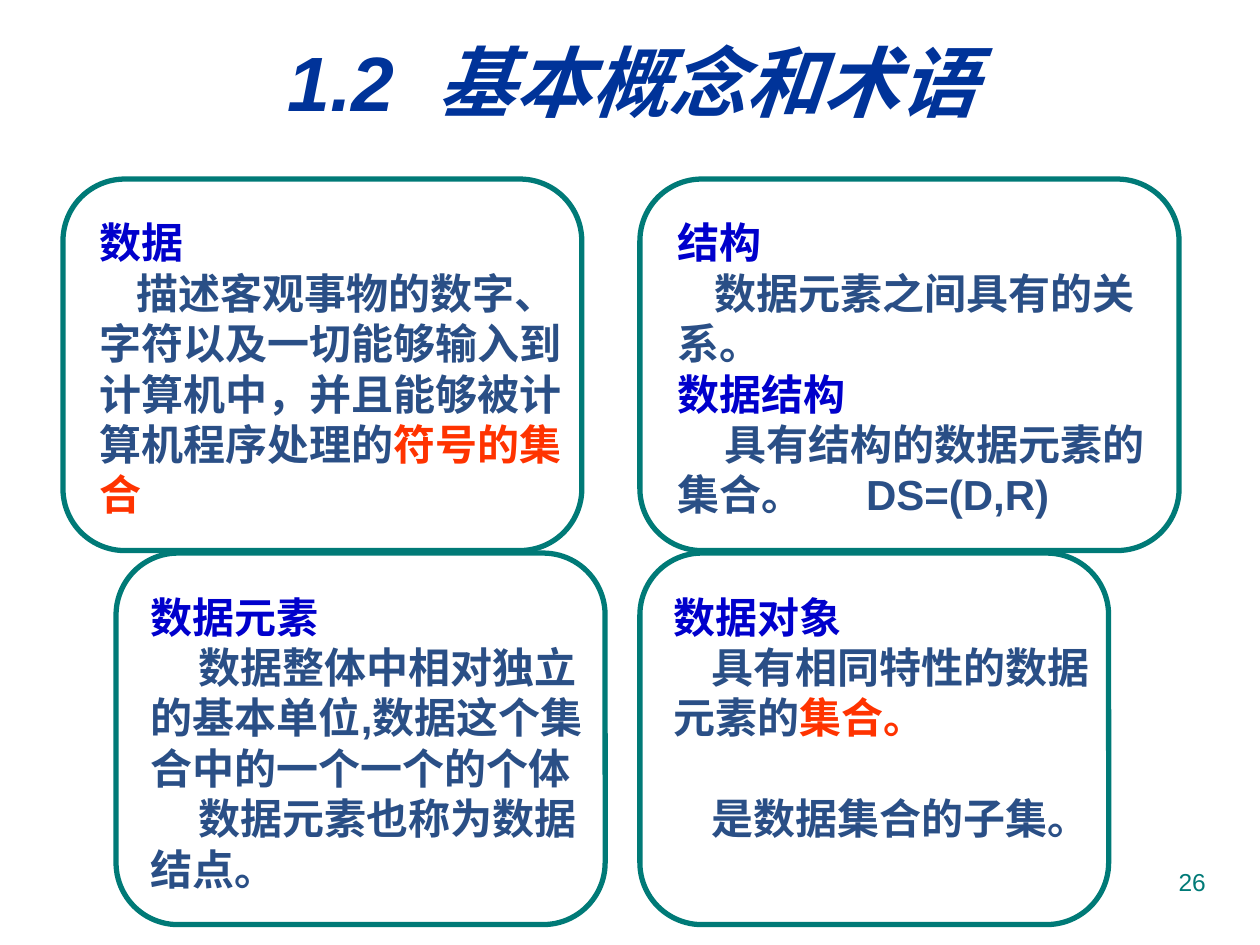
from dataclasses import dataclass

from pptx import Presentation
from pptx.dml.color import RGBColor
from pptx.enum.shapes import MSO_SHAPE as Shape
from pptx.enum.text import MSO_ANCHOR as Anchor, MSO_AUTO_SIZE as AutoSize, PP_ALIGN as Align
from pptx.oxml import parse_xml
from pptx.oxml.ns import nsdecls
from pptx.util import Cm, Pt


@dataclass(frozen=True)
class Theme:
    font: str = "Arial"
    title: str = "003399"
    term: str = "0000CC"
    body: str = "2A4F86"
    accent: str = "FF3300"
    frame: str = "007A77"
    title_size: int = 44
    body_size: int = 24
    number_size: int = 14


@dataclass
class Paragraph:
    """Runs of (text, colour), with first-line indent and tab stop in cm."""
    runs: list
    indent: float = 0
    tab: float = 0
    space_before: float = 0


class SlideBuilder:
    def __init__(self, slide, theme):
        self.slide = slide
        self.theme = theme

    def add_run(self, paragraph, text, color, size, italic=False, bold=True):
        run = paragraph.add_run()
        run.text = text
        font = run.font
        font.name, font.size = self.theme.font, Pt(size)
        font.bold, font.italic = bold, italic
        font.color.rgb = RGBColor.from_string(color)

    def text_box(self, shapes, left, top, width, height):
        shape = shapes.add_textbox(Cm(left), Cm(top), Cm(width), Cm(height))
        shape.text_frame.word_wrap = True
        return shape.text_frame

    def line(self, box, text, color, size, align, anchor=Anchor.TOP, **style):
        """Add a text box that holds a single line."""
        frame = self.text_box(self.slide.shapes, *box)
        frame.vertical_anchor = anchor
        paragraph = frame.paragraphs[0]
        paragraph.alignment = align
        self.add_run(paragraph, text, color, size, **style)

    def card(self, left, top, width, line_count, paragraphs, right_inset=0.25):
        """Add a rounded frame grouped with its definitions."""
        shapes = self.slide.shapes.add_group_shape().shapes
        frame = shapes.add_shape(Shape.ROUNDED_RECTANGLE, Cm(left), Cm(top), Cm(width), Cm(7.49))
        frame.shadow.inherit = False
        frame.fill.background()
        frame.line.color.rgb = RGBColor.from_string(self.theme.frame)
        frame.line.width = Pt(3)

        text_frame = self.text_box(shapes, left + 0.046 * width, top + 0.64,
                                   width - 0.15, 1.02 * line_count + 0.25)
        text_frame.auto_size = AutoSize.SHAPE_TO_FIT_TEXT
        text_frame.margin_right = Cm(right_inset)
        for index, content in enumerate(paragraphs):
            paragraph = text_frame.add_paragraph() if index else text_frame.paragraphs[0]
            paragraph.space_before = Pt(content.space_before)
            properties = paragraph._p.get_or_add_pPr()
            properties.set("marL", "0")
            properties.set("indent", str(Cm(content.indent)))
            if content.tab:
                properties.append(parse_xml(
                    f'<a:tabLst {nsdecls("a")}><a:tab pos="{Cm(content.tab)}" algn="l"/></a:tabLst>'))
            for text, color in content.runs:
                self.add_run(paragraph, text, color, self.theme.body_size)


def main():
    presentation = Presentation()
    presentation.slide_width, presentation.slide_height = Cm(25.4), Cm(19.05)
    theme = Theme()
    builder = SlideBuilder(presentation.slides.add_slide(presentation.slide_layouts[6]), theme)

    def term(text):
        return Paragraph([(text, theme.term)])

    def definition(text, accent="", indent=0.75, **layout):
        runs = [(text, theme.body)] + ([(accent, theme.accent)] if accent else [])
        return Paragraph(runs, indent, **layout)

    builder.line((0.89, 0.03, 23.72, 3.18), "1.2  基本概念和术语", theme.title,
                 theme.title_size, Align.CENTER, Anchor.MIDDLE, italic=True)

    upper, lower, right = 3.61, 11.15, 12.9
    wide_indent = 0.95
    builder.card(1.27, upper, 10.46, 6, [
        term("数据"),
        definition("描述客观事物的数字、字符以及一切能够输入到计算机中，并且能够被计算机程序处理的",
                   "符号的集合"),
    ])
    builder.card(right, upper, 10.87, 6, [
        term("结构"),
        definition("数据元素之间具有的关系。"),
        term("数据结构"),
        definition("具有结构的数据元素的集合。\tDS=(D,R)", indent=wide_indent, tab=3.6),
    ], right_inset=0.7)
    builder.card(2.34, lower, 9.86, 6, [
        term("数据元素"),
        definition("数据整体中相对独立的基本单位,数据这个集合中的一个一个的个体", indent=wide_indent),
        definition("数据元素也称为数据结点。", indent=wide_indent),
    ])
    builder.card(right, lower, 9.45, 5, [
        term("数据对象"),
        definition("具有相同特性的数据元素的", "集合。"),
        definition("是数据集合的子集。", space_before=28.7),
    ])

    builder.line((18.21, 17.35, 6.35, 1.32), "26", theme.frame, theme.number_size,
                 Align.RIGHT, bold=False)
    presentation.save("out.pptx")


if __name__ == "__main__":
    main()
